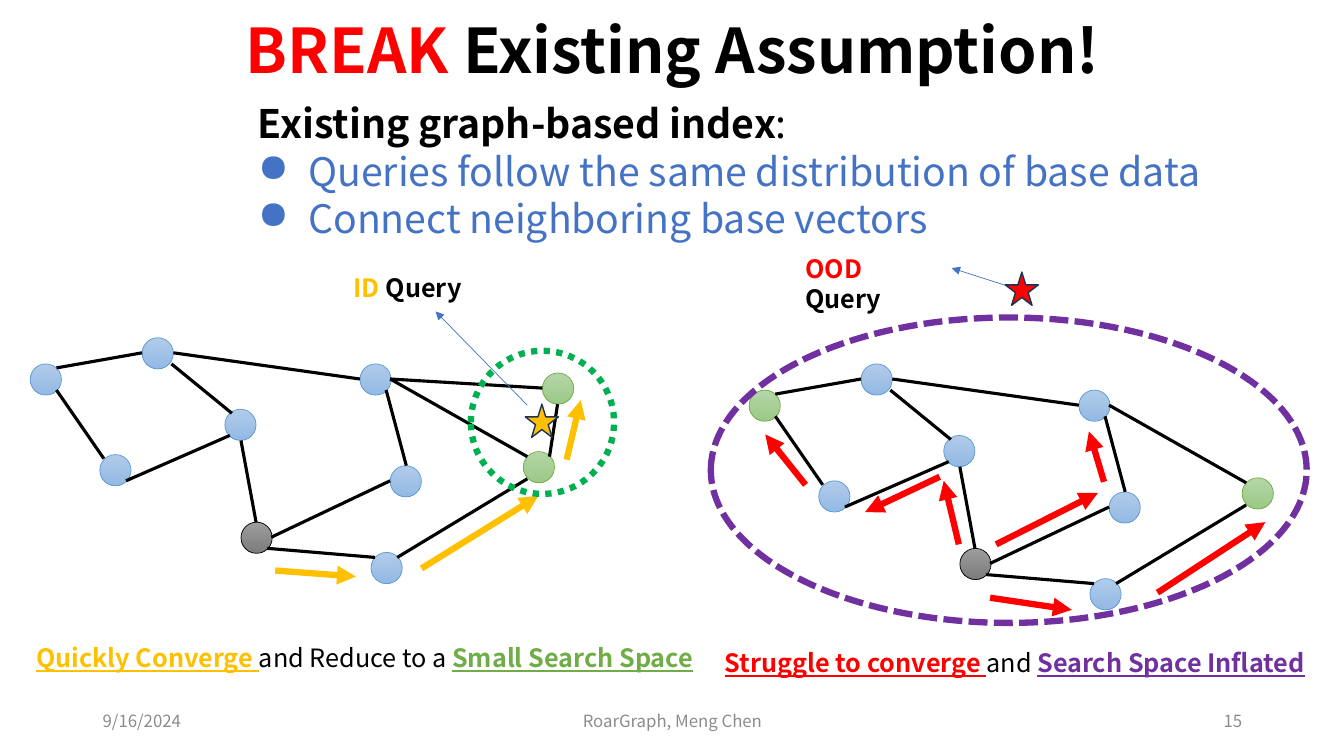
from lxml.etree import SubElement
from pptx import Presentation
from pptx.dml.color import RGBColor
from pptx.enum.dml import MSO_LINE as Dash
from pptx.enum.shapes import MSO_CONNECTOR as Link, MSO_SHAPE as Shape
from pptx.enum.text import MSO_ANCHOR as Anchor, MSO_AUTO_SIZE as Fit, PP_ALIGN as Align
from pptx.oxml.ns import qn
from pptx.util import Pt

PX = 9144
FONT = "Noto Sans CJK SC"
COLORS = {
    "black": "000000", "red": "FF0000", "gold": "FFC000", "green": "70AD47",
    "ring": "00B050", "purple": "7030A0", "blue": "4472C4", "navy": "1E3256",
    "grey": "8C8C8C", "sky": "5B9BD5",
}
NODE_STYLES = {
    "base": ("B1CBE9", "93B9E4", "sky"),
    "entry": ("9D9D9D", "7C7C7C", "black"),
    "near": ("B5D5A7", "9CC987", "green"),
}


def color(name):
    return RGBColor.from_string(COLORS[name])


def write(frame, rows, size, align=Align.LEFT, anchor=Anchor.TOP):
    for name, value in {"word_wrap": True, "auto_size": Fit.NONE, "vertical_anchor": anchor}.items():
        setattr(frame, name, value)
    for index, row in enumerate(rows):
        para = frame.paragraphs[0] if index == 0 else frame.add_paragraph()
        para.alignment = align
        for text, tint, bold, underline in row:
            span = para.add_run()
            span.text = text
            span.font.color.rgb = color(tint)
            look = {"name": FONT, "size": Pt(size), "bold": bold, "underline": underline}
            for name, value in look.items():
                setattr(span.font, name, value)


deck = Presentation()
deck.slide_width, deck.slide_height = 1333 * PX, 750 * PX
page = deck.slides.add_slide(deck.slide_layouts[5])

title = page.shapes.title
for name, value in {"left": 92, "top": -19, "width": 1150, "height": 145}.items():
    setattr(title, name, value * PX)
write(title.text_frame, [[("BREAK", "red", True, False),
                          (" Existing Assumption!", "black", True, False)]],
      44, Align.CENTER, Anchor.MIDDLE)
title.text_frame.paragraphs[0].line_spacing = 0.9

NODE = 31
SHIFT_X, SHIFT_Y = 713, 26
shared_nodes = [
    (30, 361, "base"), (141, 335, "base"), (99, 451, "base"), (223, 406, "base"),
    (239, 518, "entry"), (357, 361, "base"), (368, 548, "base"), (387, 462, "base"),
    (519, 448, "near"),
]
shared_edges = [
    (56, 387, 103, 455), (56, 365, 141, 350), (170, 361, 230, 410), (239, 437, 254, 518),
    (125, 477, 228, 432), (172, 350, 357, 376), (265, 544, 372, 553), (269, 533, 387, 477),
    (383, 387, 403, 462), (523, 453, 387, 376), (394, 553, 523, 475),
]
nodes = shared_nodes + [(538, 370, "near")]
for index, (left, top, style) in enumerate(shared_nodes):
    nodes.append((left + SHIFT_X, top + SHIFT_Y, "near" if index == 0 else style))
edges = shared_edges + [(538, 385, 387, 376), (553, 401, 545, 453)]
edges += [(x1 + SHIFT_X, y1 + SHIFT_Y, x2 + SHIFT_X, y2 + SHIFT_Y)
          for x1, y1, x2, y2 in shared_edges]

for left, top, style in nodes:
    start, end, border = NODE_STYLES[style]
    node = page.shapes.add_shape(Shape.OVAL, left * PX, top * PX, NODE * PX, NODE * PX)
    node.shadow.inherit = False
    node.fill.gradient()
    node.fill.gradient_angle = 270
    for stop, tint in zip(node.fill.gradient_stops, (start, end)):
        stop.color.rgb = RGBColor.from_string(tint)
    node.line.color.rgb = color(border)
    node.line.width = Pt(0.5)

search_steps = [
    (273, 566, 353, 572), (418, 564, 534, 492), (562, 456, 576, 397),
]
lost_steps = [
    (982, 593, 1063, 605), (1148, 588, 1255, 518), (988, 540, 1089, 489),
    (951, 540, 936, 477), (932, 473, 858, 508), (799, 481, 759, 431), (1095, 478, 1080, 428),
]
pointers = [(523, 402, 432, 309), (997, 283, 944, 266)]
line_groups = [
    (edges, "black", 2.25, False), (search_steps, "gold", 4.5, True),
    (lost_steps, "red", 4.5, True), (pointers, "blue", 0.5, True),
]
for lines, tint, width, arrow in line_groups:
    for ends in lines:
        line = page.shapes.add_connector(Link.STRAIGHT, *[value * PX for value in ends])
        line.line.color.rgb = color(tint)
        line.line.width = Pt(width)
        properties = line._element.spPr
        if arrow:
            SubElement(properties.find(qn("a:ln")), qn("a:tailEnd"), type="triangle")
        SubElement(properties, qn("a:effectLst"))

outlines = [
    (Shape.OVAL, 467, 348, 142, 142, None, "ring", 4.5, Dash.ROUND_DOT),
    (Shape.OVAL, 705, 315, 591, 303, None, "purple", 4.5, Dash.SQUARE_DOT),
    (Shape.STAR_5_POINT, 521, 401, 33, 33, "gold", "navy", 1, Dash.SOLID),
    (Shape.STAR_5_POINT, 997, 270, 33, 33, "red", "navy", 1, Dash.SOLID),
]
for kind, left, top, width, height, fill, border, weight, dash in outlines:
    mark = page.shapes.add_shape(kind, left * PX, top * PX, width * PX, height * PX)
    mark.shadow.inherit = False
    if fill:
        mark.fill.solid()
        mark.fill.fore_color.rgb = color(fill)
    else:
        mark.fill.background()
    mark.line.color.rgb = color(border)
    mark.line.width = Pt(weight)
    mark.line.dash_style = dash

labels = [
    (26, 632, 679, [("Quickly Converge ", "gold", True, True),
                    ("and Reduce to a ", "black", False, False),
                    ("Small Search Space", "green", True, True)]),
    (709, 637, 641, [("Struggle to converge ", "red", True, True),
                     ("and ", "black", False, False),
                     ("Search Space Inflated", "purple", True, True)]),
    (341, 265, 154, [("ID", "gold", True, False), (" Query", "black", True, False)]),
    (789, 246, 154, [("OOD", "red", True, False), (" Query", "black", True, False)]),
]
for left, top, width, row in labels:
    box = page.shapes.add_textbox(left * PX, top * PX, width * PX, 40 * PX)
    write(box.text_frame, [row], 18)

assumption = page.shapes.add_textbox(246 * PX, 94 * PX, 1022 * PX, 151 * PX)
write(assumption.text_frame, [
    [("Existing graph-based index", "black", True, False), (":", "black", False, False)],
    [("Queries follow the same distribution of base data", "blue", False, False)],
    [("Connect neighboring base vectors", "blue", False, False)],
], 28)
for para in assumption.text_frame.paragraphs[1:]:
    settings = para._p.get_or_add_pPr()
    settings.set("marL", str(50 * PX))
    settings.set("indent", str(-50 * PX))
    SubElement(settings, qn("a:buChar"), char="●")

footers = [
    (92, 300, "9/16/2024", Align.LEFT),
    (442, 450, "RoarGraph, Meng Chen", Align.CENTER),
    (942, 300, "15", Align.RIGHT),
]
for left, width, text, align in footers:
    box = page.shapes.add_textbox(left * PX, 695 * PX, width * PX, 40 * PX)
    write(box.text_frame, [[(text, "grey", False, False)]], 12, align, Anchor.MIDDLE)

deck.save("out.pptx")
